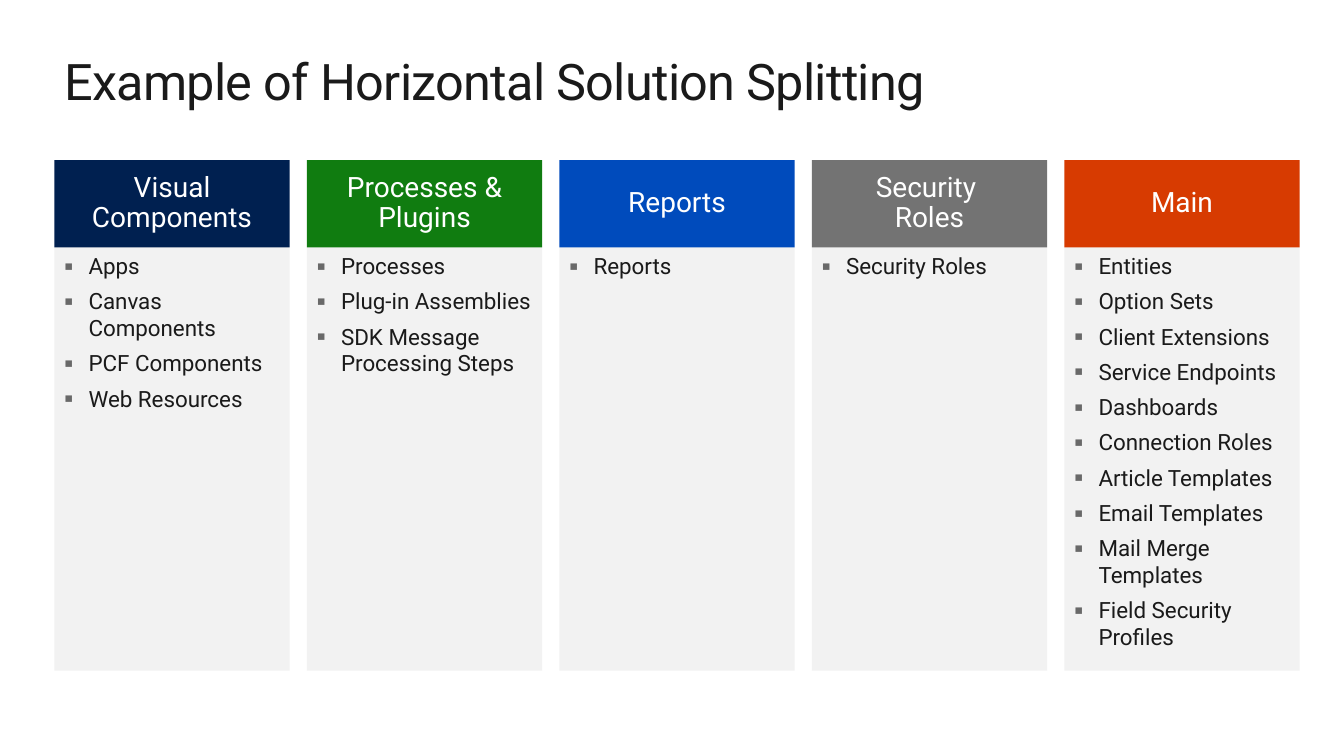
import pptx
import pptx.dml.color
import pptx.enum.shapes
import pptx.enum.text
import pptx.oxml
import pptx.oxml.ns
import pptx.util
from dataclasses import dataclass

Pt = pptx.util.Pt
RGB = pptx.dml.color.RGBColor.from_string
ALIGN = pptx.enum.text.PP_ALIGN
ANCHOR = pptx.enum.text.MSO_ANCHOR


@dataclass(frozen=True)
class Theme:
    """Colours, font and type sizes of the slide."""
    font: str = "Roboto"
    ink: str = "1A1A1A"
    white: str = "FFFFFF"
    panel: str = "F2F2F2"
    bullet: str = "696969"
    title_size: int = 36
    header_size: int = 20
    item_size: int = 16


theme = Theme()

LEFT, COLUMN_WIDTH, PITCH = 38.9, 168, 180.35
HEADER_TOP, HEADER_HEIGHT = 114.3, 62.5
PANEL_TOP, PANEL_HEIGHT = 176.6, 302.4
INDENT = 17.3

columns = [
    ("Visual Components", "002050",
     ["Apps", "Canvas Components", "PCF Components", "Web Resources"]),
    ("Processes & Plugins", "107C10",
     ["Processes", "Plug-in Assemblies", "SDK Message Processing Steps"]),
    ("Reports", "004BBC", ["Reports"]),
    ("Security \nRoles", "737373", ["Security Roles"]),
    ("Main", "D73B01",
     ["Entities", "Option Sets", "Client Extensions", "Service Endpoints",
      "Dashboards", "Connection Roles", "Article Templates", "Email Templates",
      "Mail Merge Templates", "Field Security Profiles"]),
]


def add_run(p, text, size, color):
    """Add one styled run to a paragraph and return it."""
    r = p.add_run()
    r.text = text
    r.font.name = theme.font
    r.font.size = Pt(size)
    r.font.color.rgb = RGB(color)
    return r


def add_box(x, y, height, fill, anchor, margin_x, margin_y):
    """Add a plain column-wide rectangle and return its text frame."""
    sp = slide.shapes.add_shape(
        pptx.enum.shapes.MSO_SHAPE.RECTANGLE,
        Pt(x), Pt(y), Pt(COLUMN_WIDTH), Pt(height))
    sp.shadow.inherit = False
    sp.fill.solid()
    sp.fill.fore_color.rgb = RGB(fill)
    sp.line.fill.background()
    tf = sp.text_frame
    tf.word_wrap = True
    tf.vertical_anchor = anchor
    tf.margin_left = tf.margin_right = Pt(margin_x)
    tf.margin_top = tf.margin_bottom = Pt(margin_y)
    return tf


prs = pptx.Presentation()
prs.slide_width, prs.slide_height = Pt(960), Pt(540)
slide = prs.slides.add_slide(prs.slide_layouts[5])

title = slide.shapes.title
title.left, title.top, title.width, title.height = Pt(46), Pt(36), Pt(868), Pt(44)
tf = title.text_frame
tf.word_wrap = True
tf.vertical_anchor = ANCHOR.TOP
tf.margin_left = tf.margin_right = tf.margin_top = tf.margin_bottom = 0
p = tf.paragraphs[0]
p.alignment = ALIGN.LEFT
r = add_run(p, "Example of Horizontal Solution Splitting", theme.title_size, theme.ink)
r.font._element.set("spc", "-50")

for i, (heading, color, items) in enumerate(columns):
    x = LEFT + i * PITCH

    tf = add_box(x, PANEL_TOP, PANEL_HEIGHT, theme.panel, ANCHOR.TOP, 7.2, 3.6)
    for n, item in enumerate(items):
        p = tf.add_paragraph() if n else tf.paragraphs[0]
        p.alignment = ALIGN.LEFT
        p.space_before, p.space_after = Pt(2), Pt(4)
        props = p._p.get_or_add_pPr()
        props.set("marL", str(Pt(INDENT)))
        props.set("indent", str(Pt(-INDENT)))
        ns = pptx.oxml.ns.nsdecls("a")
        for xml in (f'<a:buClr {ns}><a:srgbClr val="{theme.bullet}"/></a:buClr>',
                    f'<a:buFont {ns} typeface="{theme.font}"/>',
                    f'<a:buChar {ns} char="▪"/>'):
            props.append(pptx.oxml.parse_xml(xml))
        add_run(p, item, theme.item_size, theme.ink)

    tf = add_box(x, HEADER_TOP, HEADER_HEIGHT, color, ANCHOR.MIDDLE, 3.6, 2.9)
    p = tf.paragraphs[0]
    p.alignment = ALIGN.CENTER
    p.line_spacing = 0.9
    for n, line in enumerate(heading.split("\n")):
        if n:
            p.add_line_break()
        add_run(p, line, theme.header_size, theme.white)

prs.save("out.pptx")
